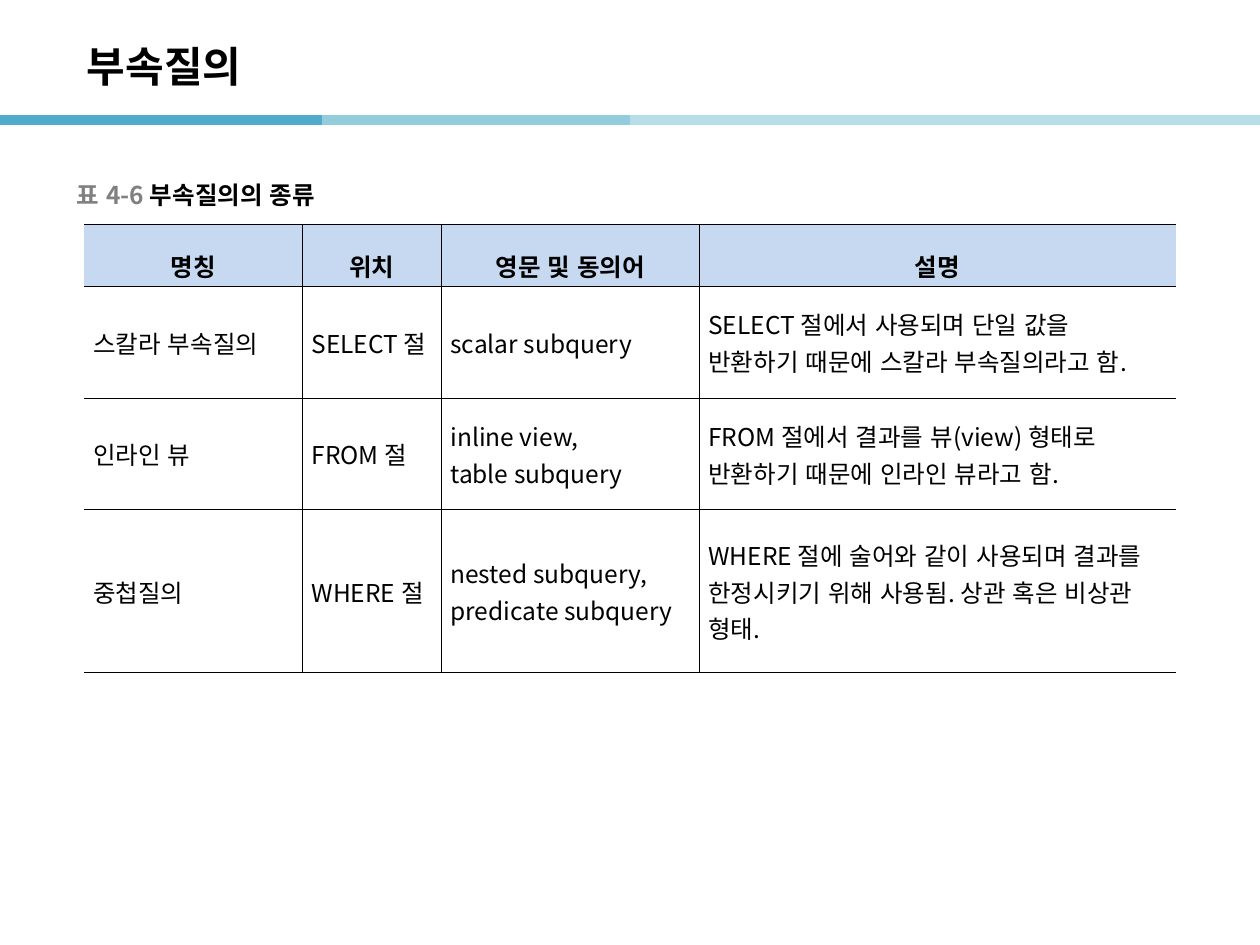
"""Build the slide that lists the kinds of subquery in a table."""
from lxml.etree import SubElement
from pptx import Presentation
from pptx.dml.color import RGBColor
from pptx.enum.lang import MSO_LANGUAGE_ID as Language
from pptx.enum.shapes import MSO_CONNECTOR as Connector
from pptx.enum.text import MSO_ANCHOR as Anchor, PP_ALIGN as Align
from pptx.oxml import parse_xml
from pptx.oxml.ns import nsdecls, qn
from pptx.util import Cm, Pt

FONT = "Noto Sans CJK KR"
COLORS = {
    "black": "000000",
    "grey": "808080",
    "header": "C6D9F1",
    "dark": "50ABCC",
    "medium": "93CDDD",
    "light": "B7DEE8",
}
TITLE = [("부속질의", "black")]
CAPTION = [("표 4-6 ", "grey"), ("부속질의의 종류", "black")]
BARS = [(0, 6.5, "dark"), (6.5, 13, "medium"), (12.7, 19.2, "light"), (18.95, 25.4, "light")]
BAR_Y = 2.42
ROWS = [
    ("명칭", "위치", "영문 및 동의어", "설명"),
    ("스칼라 부속질의", "SELECT 절", "scalar subquery",
     "SELECT 절에서 사용되며 단일 값을 반환하기 때문에 스칼라 부속질의라고 함."),
    ("인라인 뷰", "FROM 절", "inline view,\ntable subquery",
     "FROM 절에서 결과를 뷰(view) 형태로 반환하기 때문에 인라인 뷰라고 함."),
    ("중첩질의", "WHERE 절", "nested subquery,\npredicate subquery",
     "WHERE 절에 술어와 같이 사용되며 결과를 한정시키기 위해 사용됨. 상관 혹은 비상관 형태."),
]
COLUMN_WIDTHS = [4.4, 2.8, 5.2, 9.6]
ROW_HEIGHTS = [1.25, 2.25, 2.25, 3.28]


def color(name):
    return RGBColor.from_string(COLORS[name])


def style_span(span, size, color_name, bold):
    font = span.font
    font.size, font.bold, font.name = Pt(size), bold, FONT
    font.language_id = Language.KOREAN
    font.color.rgb = color(color_name)
    SubElement(span._r.get_or_add_rPr(), qn("a:ea"), typeface=FONT)


def add_bar(page, start, end, color_name):
    bar = page.shapes.add_connector(Connector.STRAIGHT, Cm(start), Cm(BAR_Y), Cm(end), Cm(BAR_Y))
    bar.line.color.rgb = color(color_name)
    bar.line.width = Pt(6)
    SubElement(bar._element.spPr, qn("a:effectLst"))


def add_text(page, place, spans, size, wrap):
    frame = page.shapes.add_textbox(*map(Cm, place)).text_frame
    frame.word_wrap = wrap
    frame.vertical_anchor = Anchor.MIDDLE
    for text, color_name in spans:
        span = frame.paragraphs[0].add_run()
        span.text = text
        style_span(span, size, color_name, True)


def set_borders(cell, is_first, is_last):
    line = f'<a:solidFill><a:srgbClr val="{COLORS["black"]}"/></a:solidFill>'
    hidden = {"L": is_first, "R": is_last}
    for index, side in enumerate("LRTB"):
        paint = "<a:noFill/>" if hidden.get(side) else line
        border = parse_xml(f'<a:ln{side} {nsdecls("a")} w="{Pt(0.28)}">{paint}</a:ln{side}>')
        cell._tc.get_or_add_tcPr().insert(index, border)


def fill_cell(cell, text, is_header):
    cell.text_frame.text = text
    cell.vertical_anchor = Anchor.MIDDLE
    cell.margin_left = cell.margin_right = Cm(0.18)
    cell.margin_top = cell.margin_bottom = Cm(0.05)
    if is_header:
        cell.fill.solid()
        cell.fill.fore_color.rgb = color("header")
    else:
        cell.fill.background()
    for para in cell.text_frame.paragraphs:
        para.alignment = Align.CENTER if is_header else Align.LEFT
        para.line_spacing = 1.6 if is_header else Pt(21)
        for span in para.runs:
            style_span(span, 14, "black", is_header)


def add_subquery_table(page):
    table = page.shapes.add_table(
        len(ROWS), len(COLUMN_WIDTHS), Cm(1.7), Cm(4.52),
        Cm(sum(COLUMN_WIDTHS)), Cm(sum(ROW_HEIGHTS))).table
    table.first_row = table.horz_banding = False
    for column, width in zip(table.columns, COLUMN_WIDTHS):
        column.width = Cm(width)
    for row, height in zip(table.rows, ROW_HEIGHTS):
        row.height = Cm(height)
    last = len(COLUMN_WIDTHS) - 1
    for row_index, texts in enumerate(ROWS):
        for column_index, text in enumerate(texts):
            cell = table.cell(row_index, column_index)
            fill_cell(cell, text, row_index == 0)
            set_borders(cell, column_index == 0, column_index == last)


def main():
    deck = Presentation()
    deck.slide_width, deck.slide_height = Cm(25.4), Cm(19.05)
    page = deck.slides.add_slide(deck.slide_layouts[6])
    for bar in BARS:
        add_bar(page, *bar)
    add_text(page, (1.5, 0.56, 21, 1.52), TITLE, 24, True)
    add_subquery_table(page)
    add_text(page, (1.3, 3.53, 5.7, 0.79), CAPTION, 14, False)
    deck.save("out.pptx")


if __name__ == "__main__":
    main()
